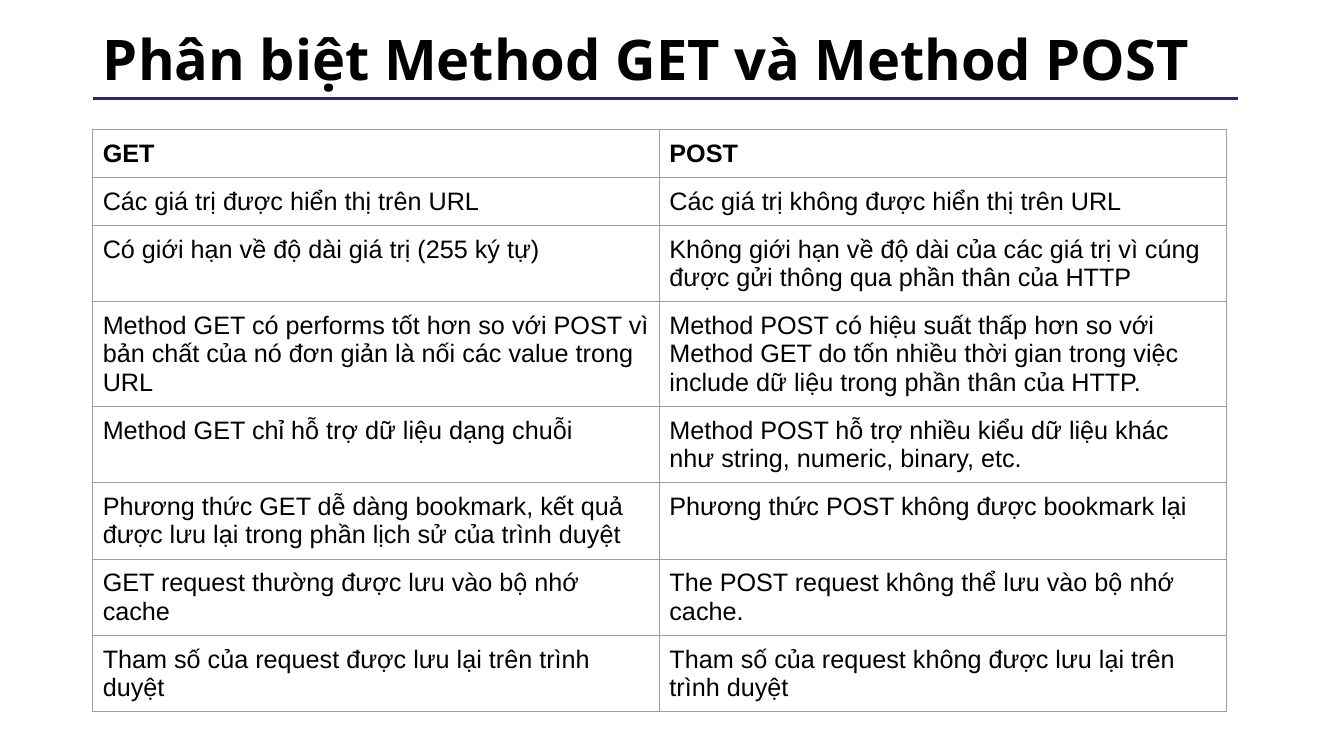
from typing import NamedTuple

from lxml.etree import SubElement
from pptx import Presentation
from pptx.dml.color import RGBColor
from pptx.enum.shapes import MSO_CONNECTOR
from pptx.enum.text import MSO_ANCHOR, MSO_AUTO_SIZE, PP_ALIGN
from pptx.oxml import parse_xml
from pptx.oxml.ns import nsdecls, qn
from pptx.slide import Slide
from pptx.table import _Cell
from pptx.util import Cm, Pt

BLACK = RGBColor(0x00, 0x00, 0x00)
NAVY = RGBColor(0x27, 0x27, 0x80)
GREY = RGBColor(0x9E, 0x9E, 0x9E)

LEFT = Cm(2.34)
COLUMN_WIDTH = Cm(14.28)
ROW_HEIGHT = Cm(1.07)
CELL_MARGIN = Cm(0.25)


class Comparison(NamedTuple):
    get: str
    post: str


COMPARISONS = [
    Comparison("GET", "POST"),
    Comparison("Các giá trị được hiển thị trên URL",
               "Các giá trị không được hiển thị trên URL"),
    Comparison("Có giới hạn về độ dài giá trị (255 ký tự)",
               "Không giới hạn về độ dài của các giá trị vì cúng "
               "được gửi thông qua phần thân của HTTP"),
    Comparison("Method GET có performs tốt hơn so với POST vì "
               "bản chất của nó đơn giản là nối các value trong URL",
               "Method POST có hiệu suất thấp hơn so với "
               "Method GET do tốn nhiều thời gian trong việc "
               "include dữ liệu trong phần thân của HTTP."),
    Comparison("Method GET chỉ hỗ trợ dữ liệu dạng chuỗi",
               "Method POST hỗ trợ nhiều kiểu dữ liệu khác "
               "như string, numeric, binary, etc."),
    Comparison("Phương thức GET dễ dàng bookmark, kết quả "
               "được lưu lại trong phần lịch sử của trình duyệt",
               "Phương thức POST không được bookmark lại"),
    Comparison("GET request thường được lưu vào bộ nhớ cache",
               "The POST request không thể lưu vào bộ nhớ cache."),
    Comparison("Tham số của request được lưu lại trên trình duyệt",
               "Tham số của request không được lưu lại trên trình duyệt"),
]


def add_heading(slide: Slide, text: str) -> None:
    heading = slide.shapes.title
    heading.left, heading.top = LEFT, Cm(0.43)
    heading.width, heading.height = Cm(29.21), Cm(2.26)
    frame = heading.text_frame
    frame.text = text
    frame.word_wrap = True
    frame.auto_size = MSO_AUTO_SIZE.NONE
    frame.vertical_anchor = MSO_ANCHOR.MIDDLE
    paragraph = frame.paragraphs[0]
    paragraph.alignment = PP_ALIGN.LEFT
    paragraph.line_spacing = 0.9
    paragraph.font.name = "Open Sans"
    paragraph.font.size = Pt(40)
    paragraph.font.bold = True
    paragraph.font.color.rgb = BLACK


def add_heading_rule(slide: Slide) -> None:
    rule = slide.shapes.add_connector(
        MSO_CONNECTOR.STRAIGHT, Cm(31.19), Cm(2.49), LEFT, Cm(2.49))
    rule.line.color.rgb = NAVY
    rule.line.width = Pt(2)
    SubElement(rule.element.spPr, qn("a:effectLst"))


def set_borders(cell: _Cell) -> None:
    properties = cell._tc.get_or_add_tcPr()
    for position, side in enumerate("LRTB"):
        properties.insert(position, parse_xml(
            f'<a:ln{side} {nsdecls("a")} w="{Pt(0.75)}"><a:solidFill>'
            f'<a:srgbClr val="{GREY}"/></a:solidFill></a:ln{side}>'))


def format_cell(cell: _Cell, text: str, bold: bool) -> None:
    cell.text = text
    cell.margin_left = cell.margin_right = CELL_MARGIN
    cell.margin_top = cell.margin_bottom = CELL_MARGIN
    cell.vertical_anchor = MSO_ANCHOR.TOP
    cell.fill.background()
    set_borders(cell)
    font = cell.text_frame.paragraphs[0].font
    font.name = "Arial"
    font.size = Pt(18)
    font.bold = bold
    font.color.rgb = BLACK


def add_comparison_table(slide: Slide, comparisons: list[Comparison]) -> None:
    table = slide.shapes.add_table(
        len(comparisons), 2, LEFT, Cm(3.26),
        COLUMN_WIDTH * 2, ROW_HEIGHT * len(comparisons)).table
    table.horz_banding = False
    for row, comparison in enumerate(comparisons):
        for column, text in enumerate(comparison):
            format_cell(table.cell(row, column), text, bold=row == 0)


def main() -> None:
    presentation = Presentation()
    presentation.slide_width = Cm(33.87)
    presentation.slide_height = Cm(19.05)
    slide = presentation.slides.add_slide(
        presentation.slide_layouts.get_by_name("Title Only"))

    # Heading with its rule
    add_heading_rule(slide)
    add_heading(slide, "Phân biệt Method GET và Method POST")

    # GET against POST
    add_comparison_table(slide, COMPARISONS)

    presentation.save("out.pptx")


if __name__ == "__main__":
    main()
